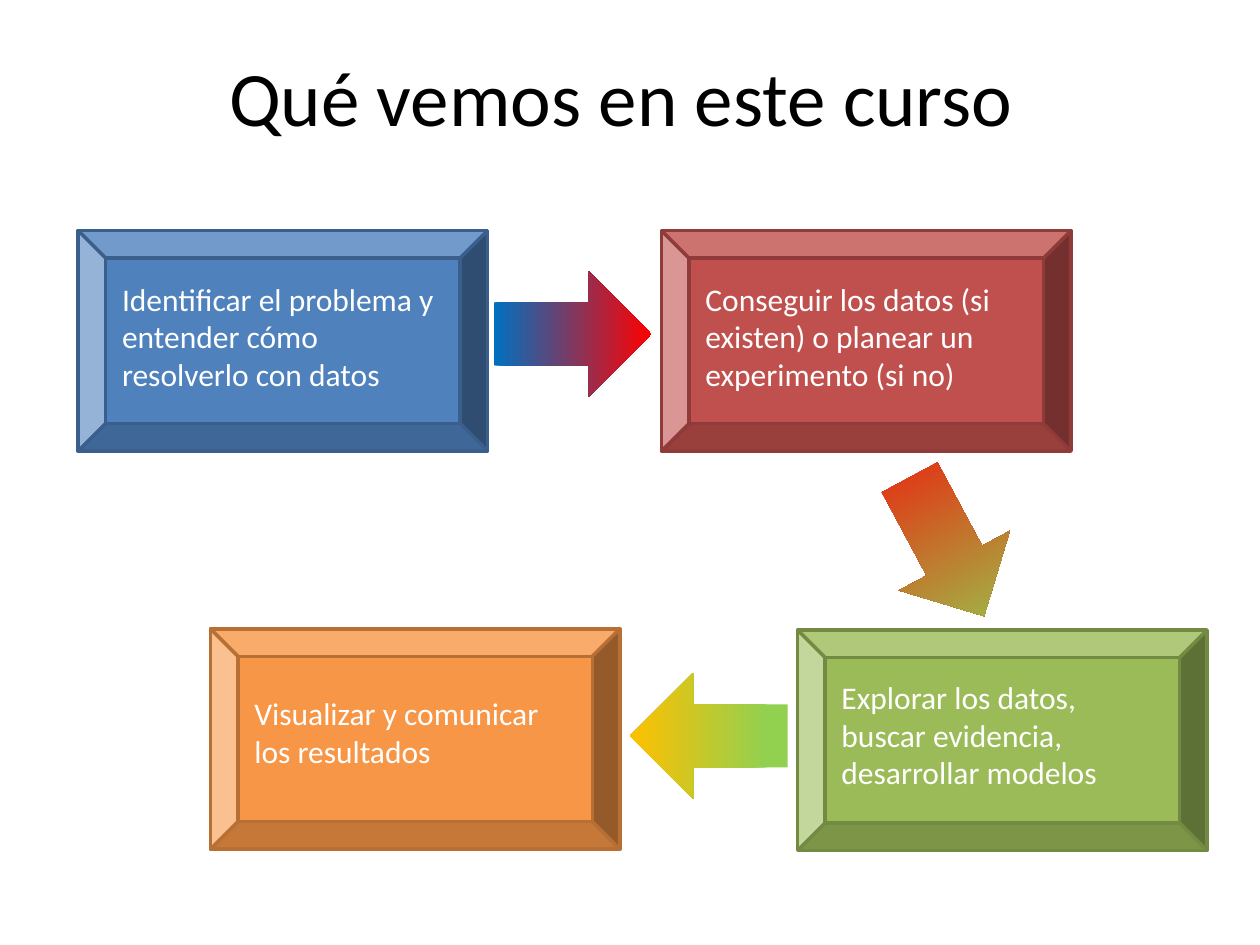
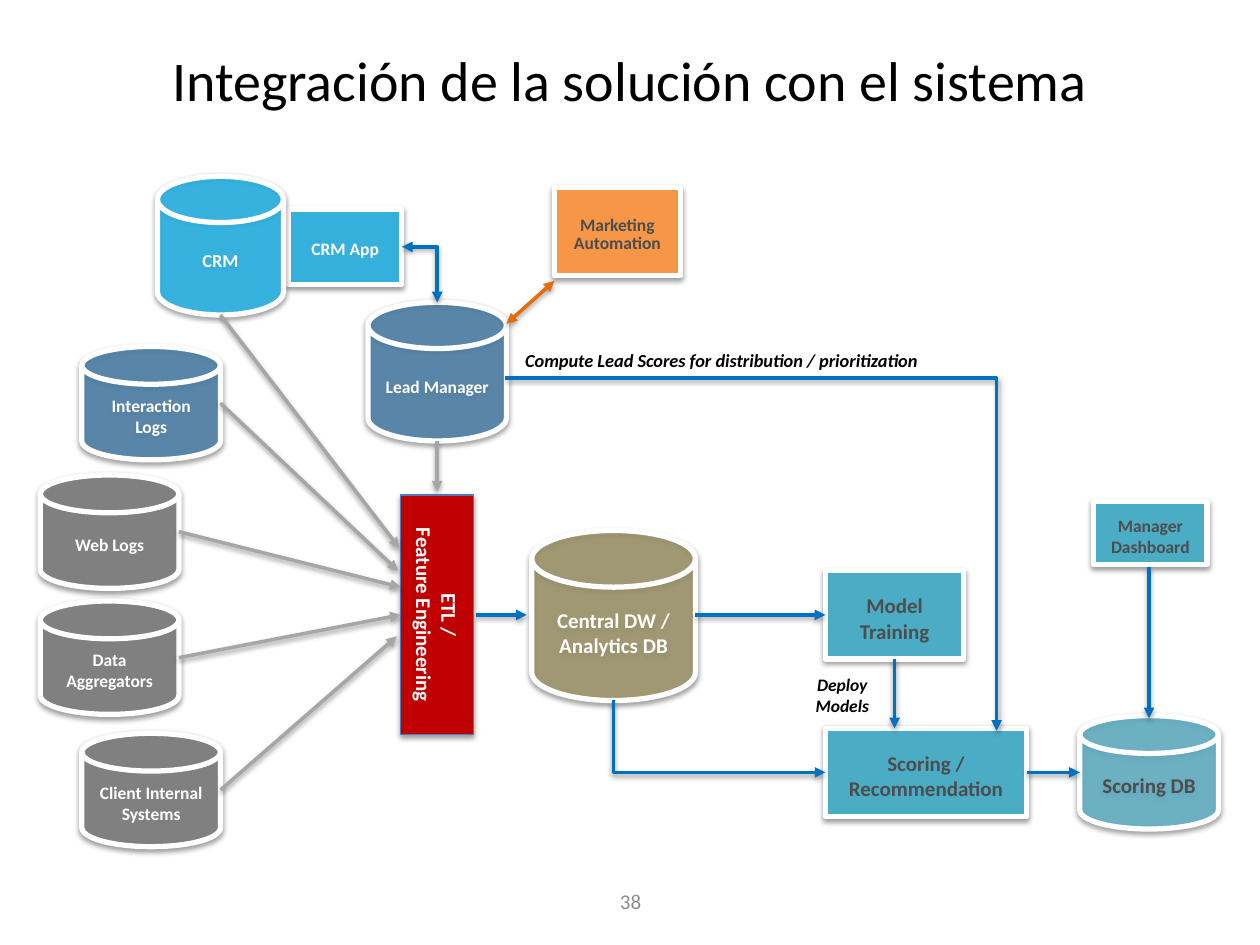
from dataclasses import dataclass
from typing import Any

from lxml.etree import SubElement
from pptx import Presentation
from pptx.dml.color import RGBColor
from pptx.enum.shapes import MSO_CONNECTOR, MSO_SHAPE
from pptx.enum.text import MSO_ANCHOR, PP_ALIGN
from pptx.oxml.ns import qn
from pptx.util import Inches, Pt

# Shared style
FONT = "Calibri"
BLACK, WHITE, DARK = "000000", "FFFFFF", "4D4D4D"
BLUE, GRAY, ORANGE = "0070C0", "A6A6A6", "E46C0A"
TEAL, STEEL, DISK_GRAY = "4BACC6", "3170A1", "808080"
DISK, BOX = MSO_SHAPE.FLOWCHART_MAGNETIC_DISK, MSO_SHAPE.RECTANGLE
DISK_ALPHA = 70


@dataclass
class Step:
    text: str
    left: float
    top: float
    text_top: float
    text_height: float
    fill: str
    line: str


@dataclass
class BlockArrow:
    left: float
    top: float
    rotation: float
    stops: list[tuple[int, str]]


@dataclass
class Node:
    text: str
    kind: MSO_SHAPE
    left: float
    top: float
    width: float
    height: float
    fill: str
    color: str = WHITE
    size: float = 10
    alpha: int = 100
    line_spacing: float = 1.0
    side_inset: float = 0.1


@dataclass
class Link:
    start: tuple[float, float]
    end: tuple[float, float]
    color: str = BLUE
    both_ends: bool = False
    bend: str = ""  # direction of the first leg: "across" or "upright"


STEPS = [
    Step("Identificar el problema y entender cómo resolverlo con datos",
         0.62, 1.83, 2.17, 1.01, "4F81BD", "3A5F8C"),
    Step("Conseguir los datos (si existen) o planear un experimento (si no)",
         5.25, 1.83, 2.17, 1.01, "C0504D", "8E3B39"),
    Step("Explorar los datos, buscar evidencia, desarrollar modelos",
         6.33, 5, 5.33, 1.01, "9BBB59", "738A42"),
    Step("Visualizar y comunicar los resultados",
         1.67, 4.99, 5.46, 0.71, "F79646", "B76F34"),
]

BLOCK_ARROWS = [
    BlockArrow(3.92, 2.15, 0, [(0, "0070C0"), (100, "FF0000")]),
    BlockArrow(6.89, 3.84, 61.8, [(0, "FF0000"), (13, "E43414"), (100, "92D050")]),
    BlockArrow(5, 5.34, 180, [(0, "92D050"), (13, "92D050"), (100, "FFC000")]),
]

NODES = [
    Node("CRM App", BOX, 2.29, 1.66, 0.9, 0.6, "35B0DD", line_spacing=0.85),
    Node("Central DW / Analytics DB", DISK, 4.22, 4.21, 1.3, 1.35, "948A54",
         size=12, alpha=DISK_ALPHA),
    Node("Interaction Logs", DISK, 0.65, 2.75, 1.1, 0.9, STEEL, alpha=DISK_ALPHA),
    Node("Web Logs", DISK, 0.32, 3.77, 1.1, 0.9, DISK_GRAY),
    Node("Data Aggregators", DISK, 0.32, 4.77, 1.1, 0.9, DISK_GRAY),
    Node("Client Internal Systems", DISK, 0.65, 5.82, 1.1, 0.9, DISK_GRAY),
    Node("Lead Manager", DISK, 2.92, 2.4, 1.1, 1.1, STEEL, alpha=DISK_ALPHA),
    Node("Marketing Automation", BOX, 4.4, 1.49, 1, 0.7, "F79646", DARK,
         line_spacing=0.85),
    Node("CRM", DISK, 1.25, 1.4, 1, 1.1, "00B0F0", size=10.5, alpha=DISK_ALPHA),
    Node("Model Training", BOX, 6.55, 4.53, 1.1, 0.7, TEAL, DARK, 12),
    Node("Scoring / Recommendation", BOX, 6.55, 5.78, 1.6, 0.7, TEAL, DARK, 12),
    Node("Scoring DB", DISK, 8.57, 5.68, 1.1, 0.9, TEAL, DARK, 12, DISK_ALPHA),
    Node("Manager Dashboard", BOX, 8.68, 3.98, 0.9, 0.5, TEAL, DARK, side_inset=0.05),
]

LINKS = [
    # Sources into the ETL bar
    Link((1.75, 2.5), (3.17, 4.35), GRAY),
    Link((1.75, 3.2), (3.16, 4.53), GRAY),
    Link((1.42, 4.22), (3.18, 4.66), GRAY),
    Link((1.42, 5.22), (3.18, 4.88), GRAY),
    Link((1.75, 6.27), (3.15, 5.05), GRAY),
    Link((3.47, 3.5), (3.47, 3.9), GRAY),
    # Lead manager exchanges
    Link((4.4, 2.23), (4.02, 2.57), ORANGE, both_ends=True),
    Link((3.47, 2.4), (3.19, 1.96), both_ends=True, bend="upright"),
    Link((4.01, 3), (7.91, 5.8), bend="across"),
    # Modelling and scoring
    Link((3.78, 4.88), (4.18, 4.88)),
    Link((5.52, 4.88), (6.55, 4.88)),
    Link((7.1, 5.23), (7.1, 5.78)),
    Link((4.87, 5.56), (6.55, 6.13), bend="upright"),
    Link((8.15, 6.13), (8.57, 6.13)),
    Link((9.12, 4.5), (9.12, 5.7)),
]


def rgb(color: str) -> RGBColor:
    return RGBColor.from_string(color)


def apply(target: Any, values: dict[str, Any]) -> None:
    for name, value in values.items():
        setattr(target, name, value)


def write(shape: Any, lines: list[str], size: float, color: str,
          frame: dict[str, Any] | None = None,
          paragraph_format: dict[str, Any] | None = None,
          font: dict[str, Any] | None = None) -> None:
    """Fill a shape's text frame, one paragraph a line."""
    text_frame = shape.text_frame
    apply(text_frame, {"word_wrap": True, **(frame or {})})
    for index, line in enumerate(lines):
        paragraph = text_frame.add_paragraph() if index else text_frame.paragraphs[0]
        apply(paragraph, paragraph_format or {})
        run = paragraph.add_run()
        run.text = line
        apply(run.font, {"name": FONT, "size": Pt(size), **(font or {})})
        run.font.color.rgb = rgb(color)


def add_text(slide: Any, box: tuple[float, float, float, float], text: str,
             size: float, color: str, **formats: dict[str, Any]) -> None:
    write(slide.shapes.add_textbox(*map(Inches, box)), [text], size, color, **formats)


def add_title(slide: Any, box: tuple[float, float, float, float], text: str,
              size: float) -> None:
    add_text(slide, box, text, size, BLACK,
             frame={"vertical_anchor": MSO_ANCHOR.MIDDLE},
             paragraph_format={"alignment": PP_ALIGN.CENTER})


def add_shape(slide: Any, kind: MSO_SHAPE, box: tuple[float, float, float, float],
              fill: str, line: str, line_width: float) -> Any:
    shape = slide.shapes.add_shape(kind, *map(Inches, box))
    shape.shadow.inherit = False
    shape.fill.solid()
    shape.fill.fore_color.rgb = rgb(fill)
    shape.line.color.rgb = rgb(line)
    shape.line.width = Pt(line_width)
    return shape


def add_color(parent: Any, color: str, alpha: int = 100) -> None:
    element = SubElement(parent, qn("a:srgbClr"), val=color)
    if alpha < 100:
        SubElement(element, qn("a:alpha"), val=str(alpha * 1000))


def add_shadow(shape: Any) -> None:
    properties = shape._element.spPr
    effects = properties.find(qn("a:effectLst"))
    if effects is None:
        effects = SubElement(properties, qn("a:effectLst"))
    shadow = SubElement(effects, qn("a:outerShdw"), blurRad=str(Pt(3.1)),
                        dist=str(Pt(1.6)), dir="5400000", rotWithShape="0")
    add_color(shadow, BLACK, 38)


def add_step(slide: Any, step: Step) -> None:
    add_shape(slide, MSO_SHAPE.BEVEL, (step.left, step.top, 3.25, 1.75),
              step.fill, step.line, 2)
    add_text(slide, (step.left + 0.25, step.text_top, 2.75, step.text_height),
             step.text, 18, WHITE)


def add_block_arrow(slide: Any, arrow: BlockArrow) -> None:
    shape = slide.shapes.add_shape(MSO_SHAPE.RIGHT_ARROW, Inches(arrow.left),
                                   Inches(arrow.top), Inches(1.25), Inches(1))
    shape.shadow.inherit = False
    shape.rotation = arrow.rotation
    shape.line.fill.background()
    shape.fill.gradient()
    shape.fill.gradient_angle = 0
    stop_list = shape._element.spPr.find(".//" + qn("a:gsLst"))
    for stop in list(stop_list):
        stop_list.remove(stop)
    for position, color in arrow.stops:
        add_color(SubElement(stop_list, qn("a:gs"), pos=str(position * 1000)), color)


def add_node(slide: Any, node: Node) -> None:
    shape = add_shape(slide, node.kind, (node.left, node.top, node.width, node.height),
                      node.fill, WHITE, 3)
    if node.alpha < 100:
        color = shape._element.spPr.find(qn("a:solidFill")).find(qn("a:srgbClr"))
        SubElement(color, qn("a:alpha"), val=str(node.alpha * 1000))
    add_shadow(shape)
    write(shape, [node.text], node.size, node.color,
          frame={"vertical_anchor": MSO_ANCHOR.MIDDLE,
                 "margin_left": Inches(node.side_inset),
                 "margin_right": Inches(node.side_inset),
                 "margin_top": Inches(0.1), "margin_bottom": Inches(0.05)},
          paragraph_format={"alignment": PP_ALIGN.CENTER,
                            "line_spacing": node.line_spacing,
                            "space_after": Pt(6 if node.kind == DISK else 3)},
          font={"bold": True})


def add_link(slide: Any, link: Link) -> None:
    (x1, y1), (x2, y2) = link.start, link.end
    if link.bend == "upright":
        # The elbow is laid out sideways, then turned 270 degrees about its centre
        center_x, center_y = (x1 + x2) / 2, (y1 + y2) / 2
        half_x, half_y = (y1 - y2) / 2, (x2 - x1) / 2
        x1, y1 = center_x - half_x, center_y - half_y
        x2, y2 = center_x + half_x, center_y + half_y
    kind = MSO_CONNECTOR.ELBOW if link.bend else MSO_CONNECTOR.STRAIGHT
    connector = slide.shapes.add_connector(kind, *map(Inches, (x1, y1, x2, y2)))
    properties = connector._element.spPr
    if link.bend:
        properties.find(qn("a:prstGeom")).set("prst", "bentConnector2")
    if link.bend == "upright":
        properties.find(qn("a:xfrm")).set("rot", str(270 * 60000))
    connector.line.color.rgb = rgb(link.color)
    connector.line.width = Pt(2)
    line = properties.find(qn("a:ln"))
    for end in ["headEnd", "tailEnd"] if link.both_ends else ["tailEnd"]:
        SubElement(line, qn(f"a:{end}"), type="triangle")
    add_shadow(connector)


def build_course_slide(slide: Any) -> None:
    add_title(slide, (0.14, 0.34, 9.58, 0.84), "Qué vemos en este curso", 44)
    for step in STEPS:
        add_step(slide, step)
    for arrow in BLOCK_ARROWS:
        add_block_arrow(slide, arrow)


def build_system_slide(slide: Any) -> None:
    add_title(slide, (0.25, 0, 9.5, 1.25), "Integración de la solución con el sistema", 32)
    for node in NODES:
        add_node(slide, node)

    # Upright ETL bar
    centered = {"alignment": PP_ALIGN.CENTER}
    etl_bar = add_shape(slide, BOX, (2.52, 4.59, 1.9, 0.58), "C00000", "4B7EBC", 0.75)
    etl_bar.rotation = 90
    add_shadow(etl_bar)
    write(etl_bar, ["ETL /", "Feature Engineering"], 12, WHITE,
          frame={"vertical_anchor": MSO_ANCHOR.MIDDLE},
          paragraph_format=centered, font={"bold": True})

    for link in LINKS:
        add_link(slide, link)

    # Link captions and slide number
    caption_font = {"bold": True, "italic": True}
    add_text(slide, (6.23, 5.3, 0.91, 0.44), "Deploy Models", 10, BLACK,
             paragraph_format=centered, font=caption_font)
    add_text(slide, (4.07, 2.72, 3.85, 0.28),
             "Compute Lead Scores for distribution / prioritization", 10.5, BLACK,
             font=caption_font)
    add_text(slide, (3.42, 6.95, 3.17, 0.4), "38", 12, "8C8C8C",
             frame={"vertical_anchor": MSO_ANCHOR.MIDDLE}, paragraph_format=centered)


def main() -> None:
    presentation = Presentation()
    presentation.slide_width, presentation.slide_height = Inches(10), Inches(7.5)
    blank_layout = presentation.slide_layouts[6]
    for build in (build_course_slide, build_system_slide):
        build(presentation.slides.add_slide(blank_layout))
    presentation.save("out.pptx")


if __name__ == "__main__":
    main()
